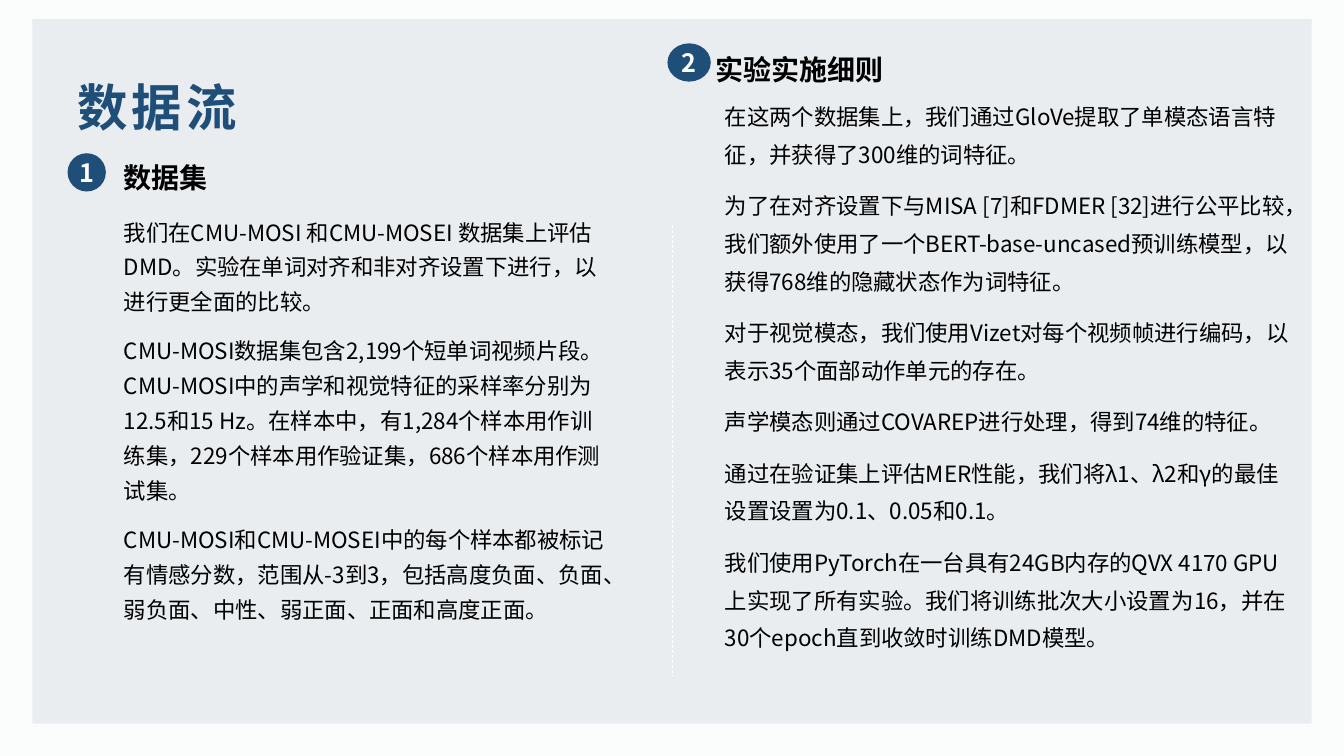
import pptx
import pptx.util
import pptx.dml.color
import pptx.enum.dml
import pptx.enum.shapes
import pptx.enum.text
import pptx.oxml.ns
from lxml import etree

FACE = "Noto Sans CJK SC"
NAVY, BLACK, WHITE = "1F4E78", "000000", "FFFFFF"
PAPER, PANEL = "FBFCFC", "E9EDF0"
WIDE, HIGH = 13.33, 7.5

TITLE = "数据流"
PARTS = [
    {
        "mark": "1", "head": "数据集", "lead": 1.3,
        "spots": {"mark": (0.67, 1.52, 0.38, 0.38),
                  "head": (1.13, 1.54, 5.04, 1.02),
                  "body": (1.13, 2.04, 5.04, 4.8)},
        "body": [
            "我们在CMU-MOSI 和CMU-MOSEI 数据集上评估DMD。实验在单词对⻬和⾮对⻬设置下进⾏，以进⾏更全⾯的⽐较。",
            "CMU-MOSI数据集包含2,199个短单词视频⽚段。CMU-MOSI中的声学和视觉特征的采样率分别为12.5和15 Hz。在样本中，有1,284个样本⽤作训练集，229个样本⽤作验证集，686个样本⽤作测试集。",
            "CMU-MOSI和CMU-MOSEI中的每个样本都被标记有情感分数，范围从-3到3，包括⾼度负⾯、负⾯、弱负⾯、中性、弱正⾯、正⾯和⾼度正⾯。",
        ],
    },
    {
        "mark": "2", "head": "实验实施细则", "lead": 1.4,
        "spots": {"mark": (6.62, 0.43, 0.43, 0.38),
                  "head": (7, 0.47, 5.89, 2.28),
                  "body": (7.09, 0.87, 5.79, 5.96)},
        "body": [
            "在这两个数据集上，我们通过GloVe提取了单模态语⾔特征，并获得了300维的词特征。",
            "为了在对⻬设置下与MISA [7]和FDMER [32]进⾏公平⽐较，我们额外使⽤了⼀个BERT-base-uncased预训练模型，以获得768维的隐藏状态作为词特征。",
            "对于视觉模态，我们使⽤Vizet对每个视频帧进⾏编码，以表示35个⾯部动作单元的存在。",
            "声学模态则通过COVAREP进⾏处理，得到74维的特征。",
            "通过在验证集上评估MER性能，我们将λ1、λ2和γ的最佳设置设置为0.1、0.05和0.1。",
            "我们使⽤PyTorch在⼀台具有24GB内存的QVX 4170 GPU上实现了所有实验。我们将训练批次⼤⼩设置为16，并在30个epoch直到收敛时训练DMD模型。",
        ],
    },
]

Pt = pptx.util.Pt
Kind = pptx.enum.shapes.MSO_SHAPE
MID = pptx.enum.text.MSO_ANCHOR.MIDDLE
MAIN = pptx.oxml.ns.qn("a:ea")

STYLES = {
    "title": {"size": Pt(36), "bold": True, "name": FACE},
    "head": {"size": Pt(20), "bold": True, "name": FACE},
    "mark": {"size": Pt(18), "bold": True, "name": FACE},
    "body": {"size": Pt(16), "bold": False, "name": FACE},
}


def tint(code):
    return pptx.dml.color.RGBColor.from_string(code)


def inch(spot):
    return [pptx.util.Inches(n) for n in spot]


def apply(thing, values):
    for key, value in values.items():
        setattr(thing, key, value)


def write(frame, lines, style, ink, form=None, gap=None):
    for i, line in enumerate(lines):
        para = frame.paragraphs[0] if i == 0 else frame.add_paragraph()
        apply(para, form or {})
        run = para.add_run()
        run.text = line
        apply(run.font, STYLES[style])
        run.font.color.rgb = tint(ink)
        props = run.font._element
        etree.SubElement(props, MAIN, typeface=FACE)
        if gap:
            props.set("spc", str(gap * 100))


def label(slide, spot, lines, style, ink=BLACK, form=None, gap=None, hold=None):
    frame = slide.shapes.add_textbox(*inch(spot)).text_frame
    apply(frame, {"word_wrap": True, "vertical_anchor": hold})
    write(frame, lines, style, ink, form, gap)


def block(slide, kind, spot, fill):
    shape = slide.shapes.add_shape(kind, *inch(spot))
    shape.shadow.inherit = False
    shape.fill.solid()
    shape.fill.fore_color.rgb = tint(fill)
    shape.line.fill.background()
    return shape


def badge(slide, spot, text):
    frame = block(slide, Kind.OVAL, spot, NAVY).text_frame
    sides = ("left", "right", "top", "bottom")
    apply(frame, {"margin_" + side: 0 for side in sides})
    apply(frame, {"word_wrap": False, "vertical_anchor": MID})
    write(frame, [text], "mark", WHITE,
          {"alignment": pptx.enum.text.PP_ALIGN.CENTER})


def split(slide, x, top, end):
    rule = slide.shapes.add_connector(
        pptx.enum.shapes.MSO_CONNECTOR.STRAIGHT, *inch((x, top, x, end)))
    rule.line.color.rgb = tint(WHITE)
    apply(rule.line, {"width": Pt(0.5),
                      "dash_style": pptx.enum.dml.MSO_LINE.DASH})
    etree.SubElement(rule._element.spPr, pptx.oxml.ns.qn("a:effectLst"))


def main():
    deck = pptx.Presentation()
    wide, high = inch((WIDE, HIGH))
    apply(deck, {"slide_width": wide, "slide_height": high})
    slide = deck.slides.add_slide(deck.slide_layouts[6])
    slide.background.fill.solid()
    slide.background.fill.fore_color.rgb = tint(PAPER)
    block(slide, Kind.RECTANGLE, (0.32, 0.19, 12.69, 6.99), PANEL)
    split(slide, 6.67, 2.23, 6.7)
    for part in PARTS:
        spots = part["spots"]
        form = {"line_spacing": part["lead"], "space_before": Pt(10)}
        label(slide, spots["body"], part["body"], "body", form=form)
        label(slide, spots["head"], [part["head"]], "head")
        badge(slide, spots["mark"], part["mark"])
    label(slide, (0.67, 0.67, 12, 0.77), [TITLE], "title", NAVY,
          gap=3, hold=MID)
    deck.save("out.pptx")


if __name__ == "__main__":
    main()
